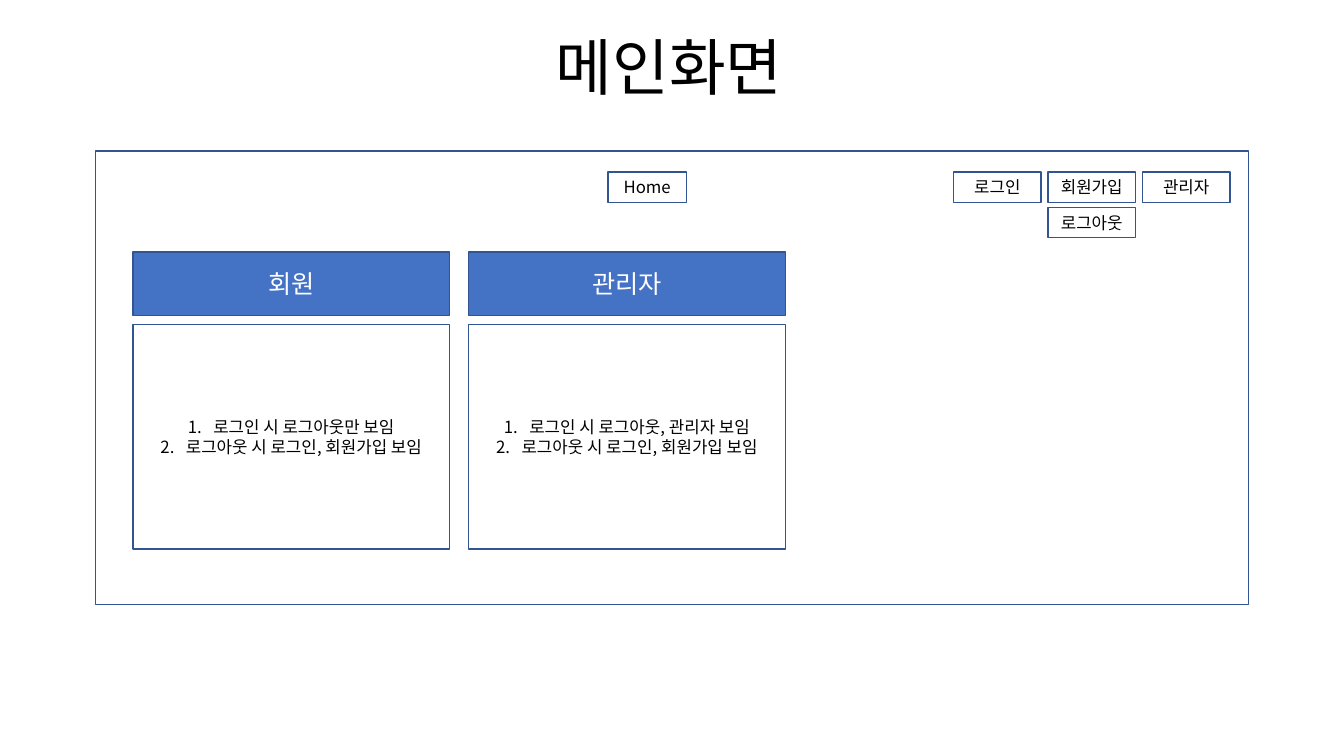
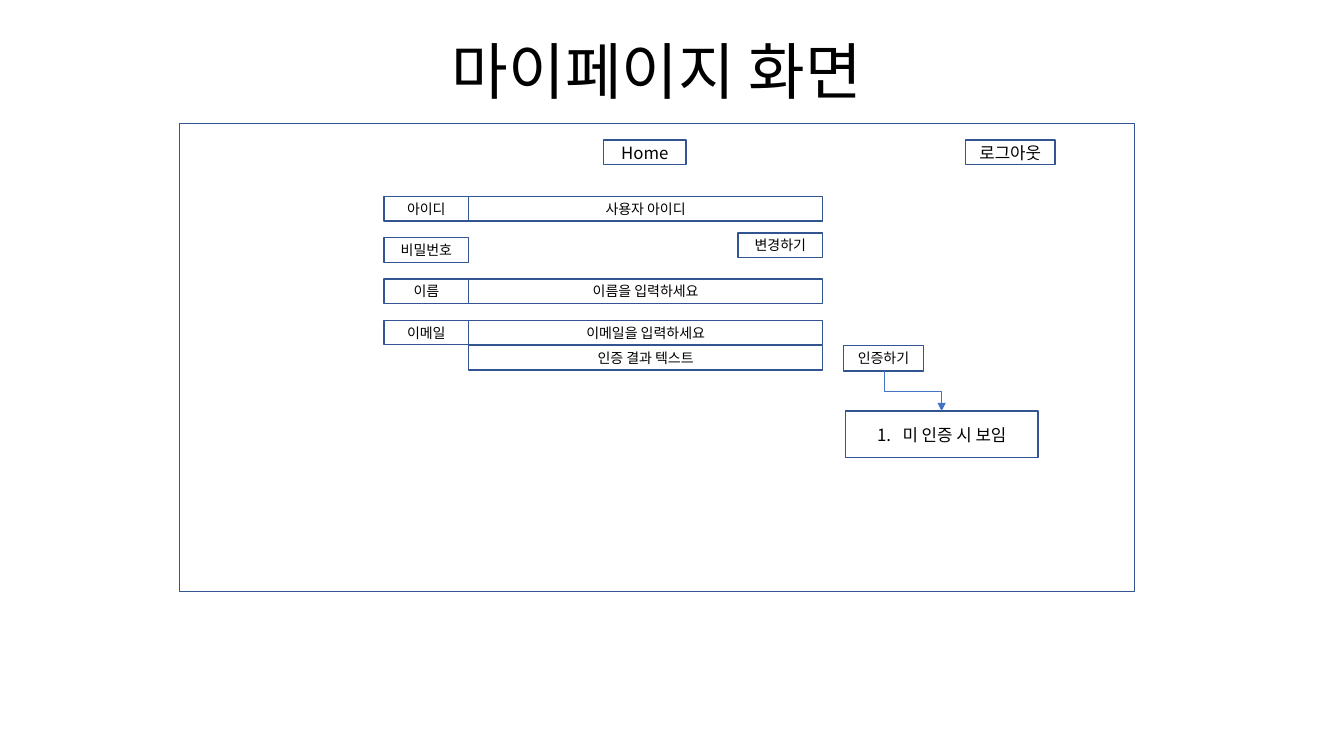
"""Build two wireframe slides: the main screen and the my-page screen."""
import pptx
import pptx.util
import pptx.dml.color
import pptx.enum.shapes
import pptx.enum.text
import pptx.oxml.ns
import lxml.etree

Cm = pptx.util.Cm
Pt = pptx.util.Pt
qn = pptx.oxml.ns.qn

FONT = "Noto Sans CJK KR"
BLACK, WHITE, BLUE, NAVY = "000000", "FFFFFF", "4472C4", "325491"

BUTTONS = ["로그인", "회원가입", "관리자"]
ROLES = [
    ("회원", ["로그인 시 로그아웃만 보임", "로그아웃 시 로그인, 회원가입 보임"]),
    ("관리자", ["로그인 시 로그아웃, 관리자 보임", "로그아웃 시 로그인, 회원가입 보임"]),
]
FIELDS = [
    ("아이디", "사용자 아이디"),
    ("비밀번호", None),
    ("이름", "이름을 입력하세요"),
    ("이메일", "이메일을 입력하세요"),
]


def color(code):
    return pptx.dml.color.RGBColor.from_string(code)


def write(frame, lines, size, ink=BLACK, listed=False):
    frame.word_wrap = True
    frame.vertical_anchor = pptx.enum.text.MSO_ANCHOR.MIDDLE
    for i, line in enumerate(lines):
        para = frame.paragraphs[0] if i == 0 else frame.add_paragraph()
        para.text = line
        para.alignment = pptx.enum.text.PP_ALIGN.CENTER
        font = para.font
        font.size = Pt(size)
        font.color.rgb = color(ink)
        font.name = FONT
        props = para._p.get_or_add_pPr()
        style = props.find(qn("a:defRPr"))
        lxml.etree.SubElement(style, qn("a:ea"), typeface=FONT)
        if listed:
            props.set("marL", str(Cm(0.64)))
            props.set("indent", str(-Cm(0.64)))
            mark = lxml.etree.Element(qn("a:buAutoNum"), type="arabicPeriod")
            style.addprevious(mark)


def title(slide, text, left, top):
    box = slide.shapes.add_textbox(Cm(left), Cm(top), Cm(29.21), Cm(3.68))
    write(box.text_frame, [text], 44)
    box.text_frame.paragraphs[0].line_spacing = 0.9


def box(slide, place, lines=(), size=12, fill=None, ink=BLACK, listed=False):
    kind = pptx.enum.shapes.MSO_SHAPE.RECTANGLE
    shape = slide.shapes.add_shape(kind, *map(Cm, place))
    shape.shadow.inherit = False
    if fill:
        shape.fill.solid()
        shape.fill.fore_color.rgb = color(fill)
    else:
        shape.fill.background()
    shape.line.color.rgb = color(NAVY)
    shape.line.width = Pt(1)
    write(shape.text_frame, lines, size, ink, listed)


def elbow(slide, x1, y1, x2, y2):
    midx, midy = (x1 + x2) / 2, (y1 + y2) / 2
    dx, dy = (x2 - x1) / 2, (y2 - y1) / 2
    ends = midx + dy, midy - dx, midx - dy, midy + dx
    kind = pptx.enum.shapes.MSO_CONNECTOR.ELBOW
    link = slide.shapes.add_connector(kind, *map(Cm, ends))
    link.line.color.rgb = color(BLUE)
    link.line.width = Pt(0.5)
    props = link._element.spPr
    props.find(qn("a:xfrm")).set("rot", "16200000")
    lxml.etree.SubElement(props.find(qn("a:ln")), qn("a:tailEnd"), type="triangle")
    lxml.etree.SubElement(props, qn("a:effectLst"))


def main_page(slide):
    title(slide, "메인화면", 2.26, -0.05)
    box(slide, (2.41, 3.81, 29.06, 11.43))
    box(slide, (15.32, 4.34, 1.98, 0.76), ["Home"])
    left, step, wide, high = 24.03, 2.38, 2.21, 0.76
    for i, name in enumerate(BUTTONS):
        box(slide, (left + i * step, 4.34, wide, high), [name])
    box(slide, (left + step, 5.23, wide, high), ["로그아웃"])
    for i, (role, rules) in enumerate(ROLES):
        x = 3.35 + i * 8.46
        box(slide, (x, 6.35, 7.98, 1.6), [role], 18, BLUE, WHITE)
        box(slide, (x, 8.18, 7.98, 5.66), rules, listed=True)


def my_page(slide):
    title(slide, "마이페이지 화면", 1.96, 0.03)
    box(slide, (4.52, 3.12, 24.08, 11.79))
    high = 0.62
    box(slide, (15.21, 3.53, 2.08, high), ["Home"])
    box(slide, (24.33, 3.53, 2.26, high), ["로그아웃"])
    left, wide, span = 9.68, 2.13, 8.92
    for i, (label, hint) in enumerate(FIELDS):
        y = 4.95 + i * 1.04
        box(slide, (left, y, wide, high), [label], 10)
        if hint:
            box(slide, (left + wide, y, span, high), [hint], 10)
    box(slide, (left + span, 5.87, wide, high), ["변경하기"], 10)
    box(slide, (left + wide, 8.71, span, high), ["인증 결과 텍스트"], 10)
    box(slide, (21.26, 8.71, 2.01, 0.64), ["인증하기"], 10)
    box(slide, (21.31, 10.36, 4.85, 1.17), ["미 인증 시 보임"], listed=True)
    elbow(slide, 22.28, 9.35, 23.73, 10.36)


deck = pptx.Presentation()
deck.slide_width, deck.slide_height = Cm(33.87), Cm(19.05)
for draw in (main_page, my_page):
    draw(deck.slides.add_slide(deck.slide_layouts[6]))
deck.save("out.pptx")
